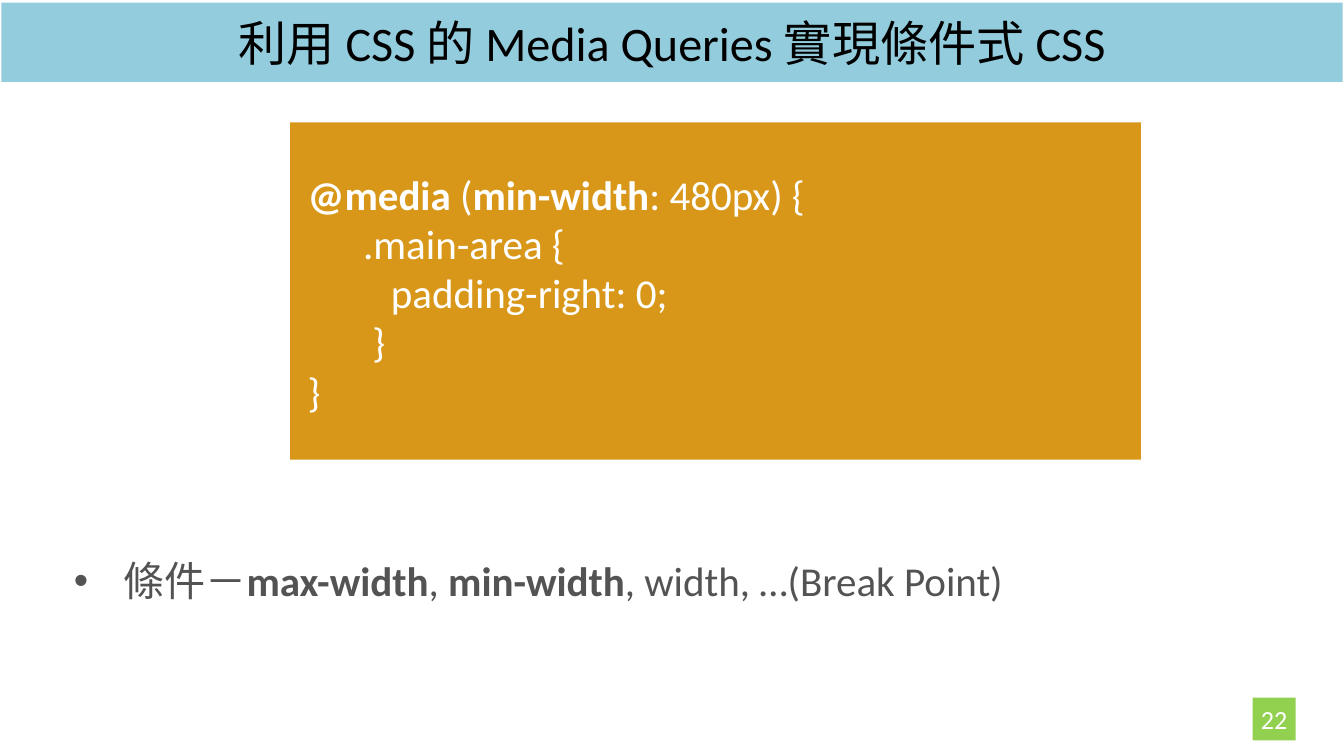
import pptx
import pptx.dml.color
import pptx.enum.shapes
import pptx.enum.text
import pptx.oxml.ns
import pptx.util
from lxml import etree
from pptx.util import Inches

COLORS = {"title": "93CDDD", "code": "D9971A", "page": "92D050",
          "black": "000000", "white": "FFFFFF", "body": "535353"}
FONT = "Calibri"
ALIGN = pptx.enum.text.PP_ALIGN


def rgb(name):
    return pptx.dml.color.RGBColor.from_string(COLORS[name])


def add_rect(s, box, color):
    sp = s.shapes.add_shape(pptx.enum.shapes.MSO_SHAPE.RECTANGLE, *map(Inches, box))
    sp.shadow.inherit = False
    sp.fill.solid()
    sp.fill.fore_color.rgb = rgb(color)
    sp.line.fill.background()
    return sp


def set_frame(tf, margin=0.05, wrap=True):
    tf.word_wrap = wrap
    tf.vertical_anchor = pptx.enum.text.MSO_ANCHOR.MIDDLE
    tf.margin_left = tf.margin_right = Inches(margin)
    tf.margin_top = tf.margin_bottom = Inches(margin)


def add_runs(p, parts, size, color):
    for text, bold in parts:
        r = p.add_run()
        r.text = text
        r.font.size = pptx.util.Pt(size)
        r.font.name = FONT
        r.font.bold = bold
        r.font.color.rgb = rgb(color)


def set_indent(p, left, first):
    pPr = p._p.get_or_add_pPr()
    pPr.set("marL", str(Inches(left)))
    pPr.set("indent", str(Inches(first)))
    return pPr


def add_label(s, box, text, fill, size, color, wrap=True):
    tf = add_rect(s, box, fill).text_frame
    set_frame(tf, wrap=wrap)
    p = tf.paragraphs[0]
    p.alignment = ALIGN.CENTER
    add_runs(p, [(text, False)], size, color)


def add_conditions(s, box, parts):
    tf = s.shapes.add_textbox(*map(Inches, box)).text_frame
    set_frame(tf)
    p = tf.paragraphs[0]
    pPr = set_indent(p, 0.37, -0.37)
    etree.SubElement(pPr, pptx.oxml.ns.qn("a:buFont"), typeface="Arial")
    etree.SubElement(pPr, pptx.oxml.ns.qn("a:buChar"), char="•")
    p.line_spacing = 1.2
    add_runs(p, parts, 22, "body")


def add_code(s, box, lines):
    left, top, width, height = box
    add_rect(s, box, "code")
    text_box = (left - 0.15, top + 0.03, width, height - 0.04)
    tf = s.shapes.add_textbox(*map(Inches, text_box)).text_frame
    set_frame(tf, margin=0)
    for i, parts in enumerate(lines):
        p = tf.paragraphs[0] if i == 0 else tf.add_paragraph()
        p.alignment = ALIGN.LEFT
        set_indent(p, 0, 0.28)
        add_runs(p, parts, 22, "white")


def main():
    prs = pptx.Presentation()
    prs.slide_width = Inches(10)
    prs.slide_height = prs.slide_width * 9 // 16
    s = prs.slides.add_slide(prs.slide_layouts[6])
    add_label(s, (0.01, 0.02, 9.98, 0.59),
              "利用 CSS 的 Media Queries 實現條件式 CSS", "title", 25.8, "black")
    add_conditions(s, (0.5, 3.37, 9, 1.82), [
        ("條件－", False), ("max-width", True), (", ", False),
        ("min-width", True), (", width, …(Break Point)", False)])
    add_label(s, (9.32, 5.19, 0.32, 0.32), "22", "page", 14, "white", wrap=False)
    add_code(s, (2.16, 0.91, 6.33, 2.51), [
        [("@media", True), (" (", False), ("min-width", True), (": 480px) {", False)],
        [("      .main-area {", False)],
        [("         padding-right: 0;", False)],
        [("       }", False)],
        [("}", False)]])
    prs.save("out.pptx")


if __name__ == "__main__":
    main()
